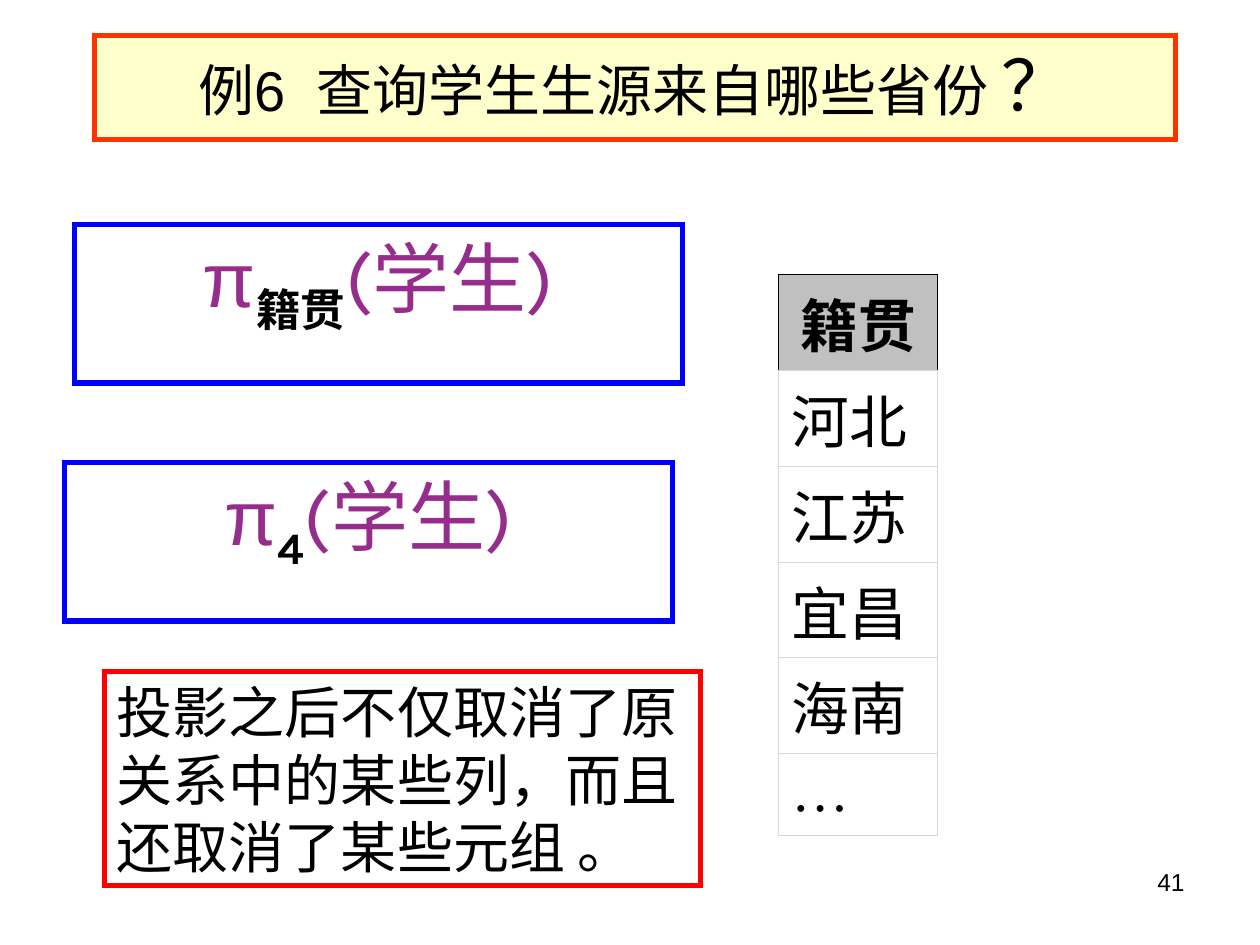
from pptx import Presentation, util as u
from pptx.dml.color import RGBColor
from pptx.enum import shapes, text
from pptx.oxml import parse_xml
from pptx.oxml.ns import nsdecls

CJK = "Noto Sans CJK SC"
BLACK, PURPLE, BLUE = "000000", "962C8C", "0000FF"
GRID = "D0D7E5"


def colour(value):
    return RGBColor.from_string(value)


class SlideBuilder:
    def __init__(self, slide):
        self.slide = slide

    def style(self, font, size, face, ink=BLACK, bold=False):
        font.size, font.name, font.bold = u.Pt(size), face, bold
        font.color.rgb = colour(ink)

    def runs(self, paragraph, pieces):
        for words, size, face, ink, bold, baseline in pieces:
            run = paragraph.add_run()
            run.text = words
            self.style(run.font, size, face, ink, bold)
            properties = run.font._element
            properties.append(parse_xml(f'<a:ea {nsdecls("a")} typeface="{CJK}"/>'))
            if baseline:
                properties.set("baseline", str(baseline))

    def box(self, place, edge, pieces, fill=None, align=text.PP_ALIGN.CENTER,
            anchor=text.MSO_ANCHOR.TOP, hanging=0.38):
        frame = self.slide.shapes.add_shape(
            shapes.MSO_SHAPE.RECTANGLE, *map(u.Inches, place))
        frame.shadow.inherit = False
        if fill:
            frame.fill.solid()
            frame.fill.fore_color.rgb = colour(fill)
        else:
            frame.fill.background()
        frame.line.color.rgb = colour(edge)
        frame.line.width = u.Pt(3)
        frame.get_or_add_ln().append(
            parse_xml(f'<a:miter {nsdecls("a")} lim="800000"/>'))
        frame.text_frame.word_wrap = True
        frame.text_frame.vertical_anchor = anchor
        paragraph = frame.text_frame.paragraphs[0]
        paragraph.alignment = align
        if hanging:
            properties = paragraph._p.get_or_add_pPr()
            properties.set("marL", str(u.Inches(hanging)))
            properties.set("indent", str(-u.Inches(hanging)))
        self.runs(paragraph, pieces)

    def formula(self, left, top, subscript):
        self.box((left, top, 4.83, 1.26), BLUE, [
            ("π", 44, "Arial", PURPLE, False, 0),
            (subscript, 44, "Karla", BLACK, True, -25000),
            ("(学生)", 44, "Karla", PURPLE, False, 0)], fill="FFFFFF")

    def border(self, cell, side, ink):
        cell._tc.get_or_add_tcPr().insert(0, parse_xml(
            f'<a:{side} {nsdecls("a")} w="{u.Pt(0.45)}"><a:solidFill>'
            f'<a:srgbClr val="{ink}"/></a:solidFill></a:{side}>'))

    def column_table(self, left, top, width, entries, row_height, last_height):
        heights = [row_height] * (len(entries) - 1) + [last_height]
        table = self.slide.shapes.add_table(
            len(entries), 1, u.Inches(left), u.Inches(top), u.Inches(width),
            u.Inches(sum(heights))).table
        for row, (entry, height) in enumerate(zip(entries, heights)):
            heading = row == 0
            table.rows[row].height = u.Inches(height)
            cell = table.cell(row, 0)
            cell.fill.solid()
            cell.fill.fore_color.rgb = colour("C0C0C0" if heading else "FFFFFF")
            for side in ("lnB", "lnT", "lnR", "lnL"):
                dark = heading and side != "lnB"
                self.border(cell, side, BLACK if dark else GRID)
            paragraph = cell.text_frame.paragraphs[0]
            if heading:
                cell.vertical_anchor = text.MSO_ANCHOR.MIDDLE
                paragraph.alignment = text.PP_ALIGN.CENTER
            self.runs(paragraph, [(entry, 33, "Times New Roman", BLACK, heading, 0)])

    def page_number(self, place, number):
        frame = self.slide.shapes.add_textbox(*map(u.Inches, place)).text_frame
        frame.word_wrap = True
        paragraph = frame.paragraphs[0]
        paragraph.text = number
        paragraph.alignment = text.PP_ALIGN.RIGHT
        self.style(paragraph.font, 14, "Arial")


def main():
    deck = Presentation()
    deck.slide_width, deck.slide_height = u.Inches(10), u.Inches(7.5)
    page = SlideBuilder(deck.slides.add_slide(deck.slide_layouts[6]))
    page.page_number((7.17, 6.83, 2.33, 0.52), "41")
    page.box((0.75, 0.28, 8.58, 0.83), "FF3300", [
        ("例6  查询学生生源来自哪些省份 ", 32, "Arial", BLACK, False, 0),
        ("？", 40, "Arial", BLACK, False, 0)], fill="FFFFCC")
    page.formula(0.59, 1.78, "籍贯")
    page.column_table(6.18, 2.18, 1.26,
                      ["籍贯", "河北", "江苏", "宜昌", "海南", "…"],
                      row_height=0.76, last_height=0.65)
    page.formula(0.51, 3.67, "4")
    page.box((0.83, 5.33, 4.73, 1.7), "FF0000", [
        ("投影之后不仅取消了原关系中的某些列，而且还取消了某些元组 。",
         32, CJK, BLACK, False, 0)],
        align=text.PP_ALIGN.LEFT, anchor=text.MSO_ANCHOR.MIDDLE, hanging=0)
    deck.save("out.pptx")


if __name__ == "__main__":
    main()
